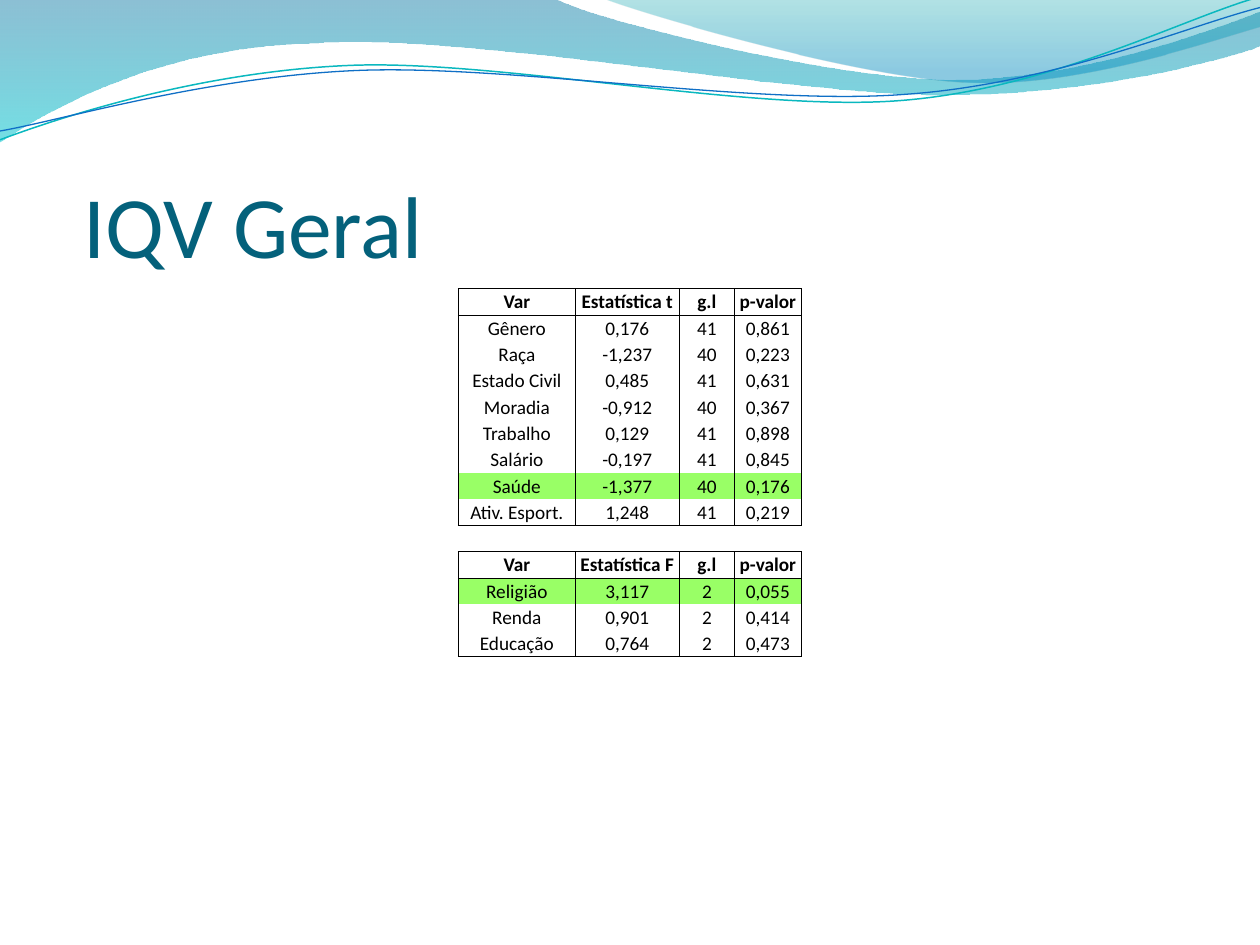
from lxml import etree
from pptx import Presentation
from pptx.dml.color import RGBColor
from pptx.enum.text import MSO_ANCHOR, MSO_AUTO_SIZE, PP_ALIGN
from pptx.oxml.ns import qn
from pptx.util import Cm, Pt

MIDDLE, BOTTOM = MSO_ANCHOR.MIDDLE, MSO_ANCHOR.BOTTOM
LEFT, CENTER = PP_ALIGN.LEFT, PP_ALIGN.CENTER
NO_AUTOFIT = MSO_AUTO_SIZE.NONE

THEME = {
    "font": "Calibri", "title_size": 50, "table_size": 11,
    "title": "04617B", "text": "000000", "rule": "000000", "highlight": "99FF66",
}
NO_STYLE_TABLE = "{2D5ABB26-0587-4C30-8999-92F81FD0307C}"
RULE_WIDTH = 0.5

# Content: each test has its statistic and its rows
TITLE = "IQV Geral"
HIGHLIGHTED = {"Saúde", "Religião"}
TESTS = [
    ("Estatística t", [
        ("Gênero", "0,176", "41", "0,861"),
        ("Raça", "-1,237", "40", "0,223"),
        ("Estado Civil", "0,485", "41", "0,631"),
        ("Moradia", "-0,912", "40", "0,367"),
        ("Trabalho", "0,129", "41", "0,898"),
        ("Salário", "-0,197", "41", "0,845"),
        ("Saúde", "-1,377", "40", "0,176"),
        ("Ativ. Esport.", "1,248", "41", "0,219"),
    ]),
    ("Estatística F", [
        ("Religião", "3,117", "2", "0,055"),
        ("Renda", "0,901", "2", "0,414"),
        ("Educação", "0,764", "2", "0,473"),
    ]),
]
COLUMN_WIDTHS = [2.36, 2.09, 1.12, 1.34]
ROW_HEIGHT = 0.53

# Waves, in units of a tenth of the slide width:
# a pair is a straight step, six numbers are a Bézier curve
UNIT = 2.54
BANDS = [
    ([(0, 0), (4.4, -0.01), (4.76, 0.17, 6.64, 0.63, 7.58, 0.63),
      (8.53, 0.63, 9.58, 0.26, 10, 0.09), (10.01, 0.36),
      (9.83, 0.44, 8.7, 0.76, 7.46, 0.75), (6.22, 0.75, 3.82, 0.28, 2.57, 0.34),
      (1.29, 0.36, 0.46, 0.83, -0.01, 1.13), (0, 0)],
     [(0, "0074A1", 45), (1, "00C6CF", 55)]),
    ([(4.79, -0.01), (5.09, 0.11, 6.82, 0.62, 7.69, 0.65),
      (8.56, 0.69, 9.61, 0.32, 10, 0.21), (10, 0), (4.79, -0.01)],
     [(0, "00A1A9", 30), (0.8, "008BBF", 45)]),
]
STRANDS = [
    ([(0, 1.11), (0.48, 0.93, 1.58, 0.57, 2.77, 0.52),
      (3.95, 0.47, 5.93, 0.89, 7.13, 0.8), (8.33, 0.71, 9.38, 0.15, 9.98, -0.02)],
     "0AB8BF", 0.85),
    ([(0, 1.04), (0.47, 0.96, 1.64, 0.61, 2.83, 0.56),
      (4.03, 0.51, 5.97, 0.84, 7.17, 0.75), (8.36, 0.67, 9.41, 0.21, 10, 0.06)],
     "0F6FC6", 0.75),
]


def color(code):
    return RGBColor.from_string(code)


def add_wave(slide, steps, close):
    """Outline every knot, then join each curve's three knots into a Bézier."""
    knots = [(Cm(step[i] * UNIT), Cm(step[i + 1] * UNIT))
             for step in steps for i in range(0, len(step), 2)]
    builder = slide.shapes.build_freeform(*knots[0])
    builder.add_line_segments(knots[1:], close=close)
    wave = builder.convert_to_shape()
    wave.shadow.inherit = False
    segments = iter(list(wave._element.iter(qn("a:lnTo"))))
    for step in steps[1:]:
        segment = next(segments)
        if len(step) == 6:
            segment.tag = qn("a:cubicBezTo")
            for _ in range(2):
                control = next(segments)
                segment.append(control[0])
                control.getparent().remove(control)
    return wave


def add_band(slide, steps, stops):
    band = add_wave(slide, steps, close=True)
    band.line.fill.background()
    band.fill.gradient()
    band.fill.gradient_angle = 270
    for stop, (position, code, _) in zip(band.fill.gradient_stops, stops):
        stop.position = position
        stop.color.rgb = color(code)
    for srgb, (_, _, opacity) in zip(band._element.spPr.iter(qn("a:srgbClr")), stops):
        etree.SubElement(srgb, qn("a:alpha"), val=str(opacity * 1000))


def add_strand(slide, steps, code, width):
    strand = add_wave(slide, steps, close=False)
    strand.fill.background()
    strand.line.color.rgb = color(code)
    strand.line.width = Pt(width)


def set_borders(cell, sides):
    properties = cell._tc.get_or_add_tcPr()
    for side in "LRTB":
        line = etree.SubElement(properties, qn(f"a:ln{side}"), w=str(Pt(RULE_WIDTH)))
        if side in sides:
            fill = etree.SubElement(line, qn("a:solidFill"))
            etree.SubElement(fill, qn("a:srgbClr"), val=THEME["rule"])
        else:
            etree.SubElement(line, qn("a:noFill"))


def format_cell(cell, text, sides, bold, highlighted):
    set_borders(cell, sides)
    cell.margin_left = cell.margin_right = cell.margin_top = Cm(0.02)
    cell.margin_bottom = 0
    cell.vertical_anchor = MIDDLE
    if highlighted:
        cell.fill.solid()
        cell.fill.fore_color.rgb = color(THEME["highlight"])
    else:
        cell.fill.background()
    paragraph = cell.text_frame.paragraphs[0]
    if not text:  # keeps the empty row as low as the others
        etree.SubElement(paragraph._p, qn("a:endParaRPr"),
                         sz=str(THEME["table_size"] * 100))
        return
    paragraph.text = text
    paragraph.alignment = CENTER
    paragraph.font.name = THEME["font"]
    paragraph.font.size = Pt(THEME["table_size"])
    paragraph.font.bold = bold
    paragraph.font.color.rgb = color(THEME["text"])


def table_rows():
    """List (texts, border sides, bold) for each row, with a gap between tests."""
    rows = []
    for statistic, results in TESTS:
        if rows:
            rows.append(([""] * len(COLUMN_WIDTHS), "TB", False))
        rows.append((("Var", statistic, "g.l", "p-valor"), "LRTB", True))
        for i, result in enumerate(results):
            sides = "LR" + "T" * (i == 0) + "B" * (i == len(results) - 1)
            rows.append((result, sides, False))
    return rows


def add_results(slide):
    rows = table_rows()
    table = slide.shapes.add_table(
        len(rows), len(COLUMN_WIDTHS), Cm(9.24), Cm(5.82),
        Cm(sum(COLUMN_WIDTHS)), Cm(ROW_HEIGHT * len(rows))).table
    table.first_row = table.horz_banding = False
    table._tbl.tblPr.find(qn("a:tableStyleId")).text = NO_STYLE_TABLE
    for column, width in zip(table.columns, COLUMN_WIDTHS):
        column.width = Cm(width)
    for r, (texts, sides, bold) in enumerate(rows):
        table.rows[r].height = Cm(ROW_HEIGHT)
        for c, text in enumerate(texts):
            format_cell(table.cell(r, c), text, sides, bold, texts[0] in HIGHLIGHTED)


def set_title(slide):
    title = slide.shapes.title
    title.left, title.top, title.width, title.height = Cm(1.69), Cm(2.39), Cm(22.86), Cm(3.17)
    frame = title.text_frame
    frame.text = TITLE
    frame.auto_size = NO_AUTOFIT
    frame.vertical_anchor = BOTTOM
    frame.margin_left = frame.margin_right = frame.margin_bottom = 0
    paragraph = frame.paragraphs[0]
    paragraph.alignment = LEFT
    paragraph.font.name = THEME["font"]
    paragraph.font.size = Pt(THEME["title_size"])
    paragraph.font.color.rgb = color(THEME["title"])


def main():
    deck = Presentation()
    deck.slide_width, deck.slide_height = Cm(25.4), Cm(19.05)
    slide = deck.slides.add_slide(deck.slide_layouts[5])
    for band in BANDS:
        add_band(slide, *band)
    for strand in STRANDS:
        add_strand(slide, *strand)
    set_title(slide)
    add_results(slide)
    deck.save("out.pptx")


if __name__ == "__main__":
    main()
